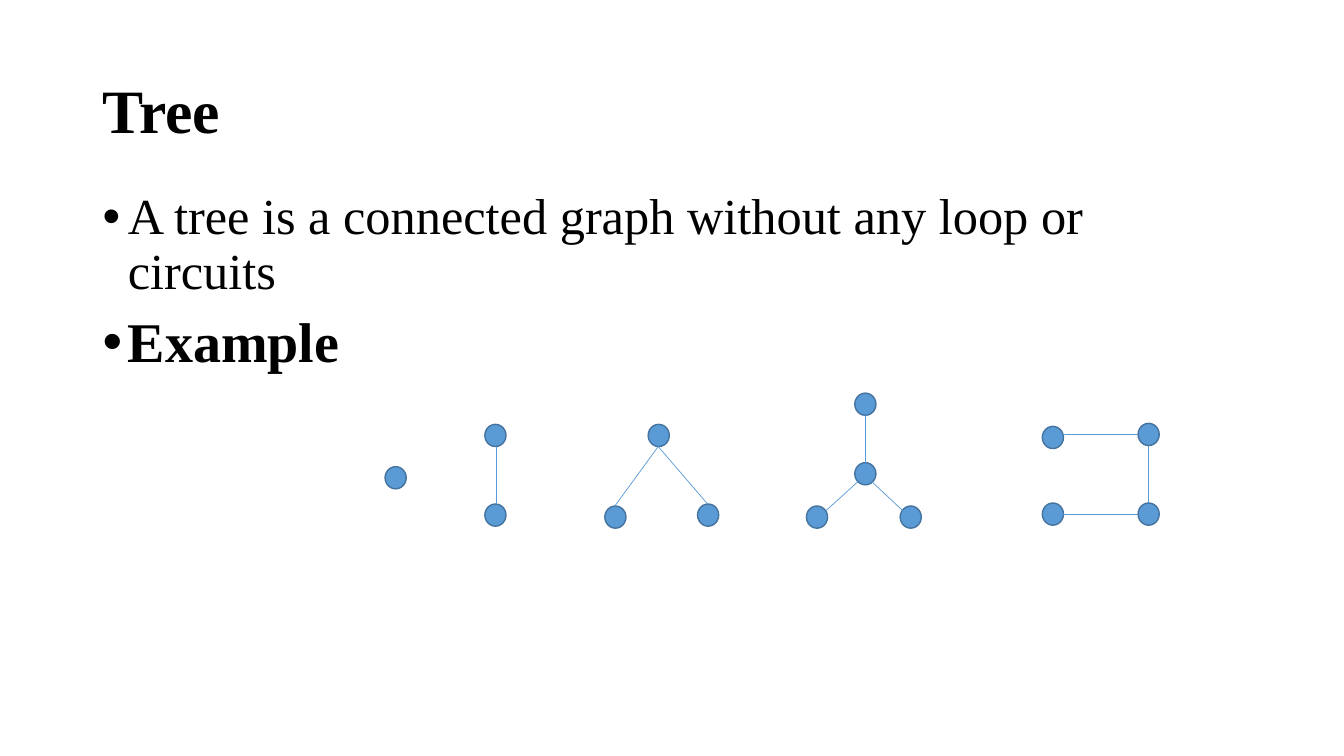
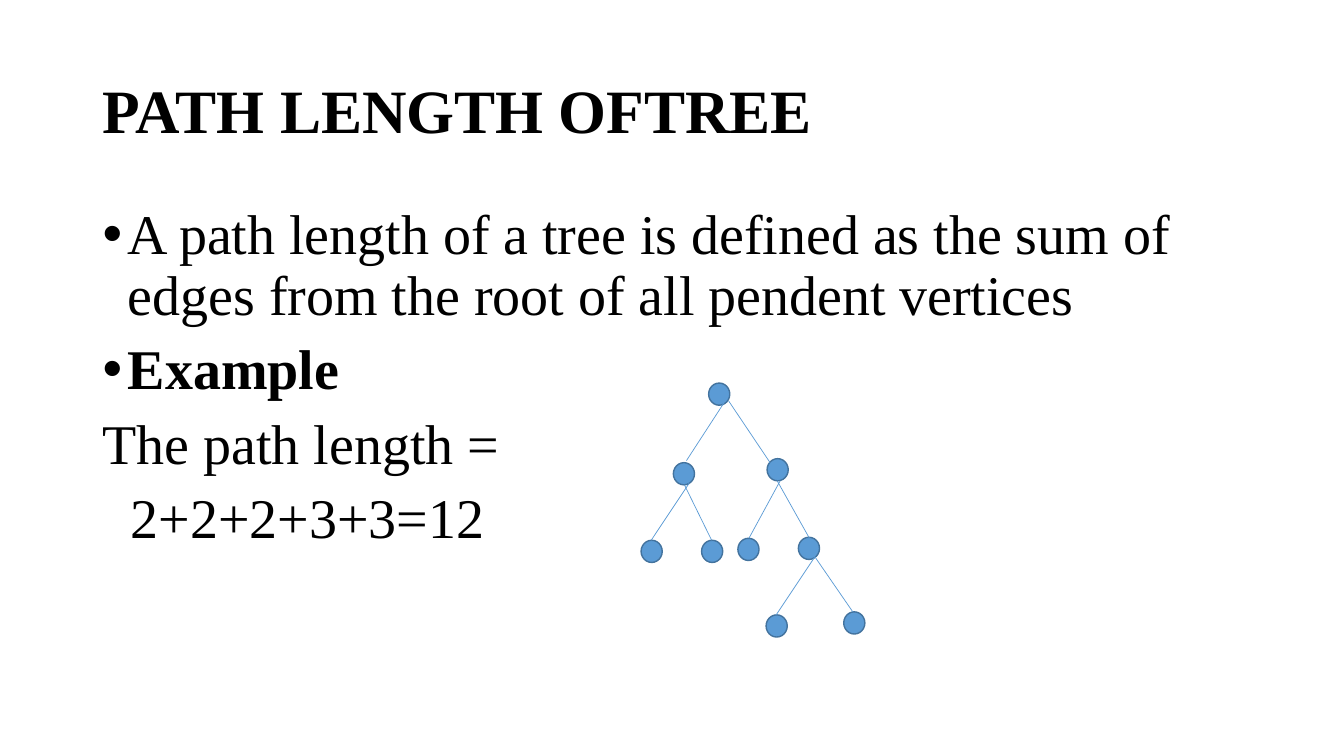
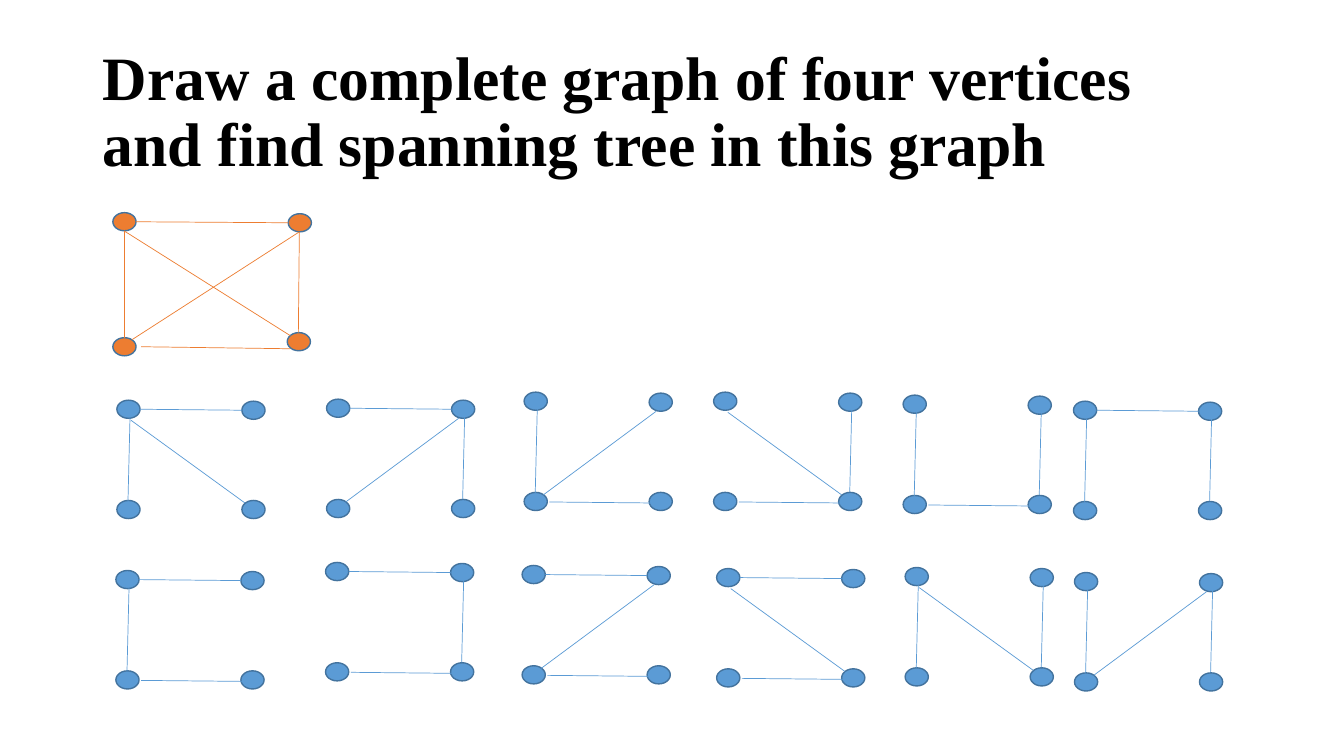
import pptx
import pptx.dml.color
import pptx.enum.shapes
import pptx.enum.text
import pptx.oxml.ns
import pptx.util
from lxml import etree

SHAPES = pptx.enum.shapes.MSO_SHAPE
BLUE, ORANGE, OUTLINE, BLACK = "5B9BD5", "ED7D31", "43739E", "000000"


def color(value):
    """Turn a hex string into a colour."""
    return pptx.dml.color.RGBColor.from_string(value)


def cells(count):
    """Turn grid cells, ten to the inch, into a length."""
    return pptx.util.Inches(count / 10)


class Lesson:
    """Hold the deck, its style and the current slide."""

    FONT = "Times New Roman"
    CIRCLE = (SHAPES.FLOWCHART_CONNECTOR, 2.1, 2.2)
    OVAL = (SHAPES.OVAL, 2.3, 1.8)

    def __init__(self):
        """Start an empty wide deck."""
        self.deck = pptx.Presentation()
        self.deck.slide_width = cells(133.33)
        self.deck.slide_height = cells(75)
        self.page = None

    def style(self, para, size, bold):
        """Set the shared paragraph style."""
        para.alignment = pptx.enum.text.PP_ALIGN.LEFT
        para.line_spacing = 0.9
        para.font.name = self.FONT
        para.font.size = pptx.util.Pt(size)
        para.font.bold = bold
        para.font.color.rgb = color(BLACK)

    def start(self, title):
        """Add a slide with its title."""
        self.page = self.deck.slides.add_slide(self.deck.slide_layouts[5])
        box = self.page.shapes.title
        box.left, box.top, box.width, box.height = map(cells, (9.2, 4, 115, 14.5))
        frame = box.text_frame
        frame.text = title
        frame.word_wrap = True
        frame.auto_size = pptx.enum.text.MSO_AUTO_SIZE.NONE
        frame.vertical_anchor = pptx.enum.text.MSO_ANCHOR.MIDDLE
        self.style(frame.paragraphs[0], 44, True)

    def body(self, top, lines):
        """Add text lines given as text, size, bold, indent and bullet."""
        box = self.page.shapes.add_textbox(*map(cells, (9.2, top, 115, 47.6)))
        frame = box.text_frame
        frame.word_wrap = True
        for index, (text, size, bold, indent, bullet) in enumerate(lines):
            para = frame.add_paragraph() if index else frame.paragraphs[0]
            para.text = text
            self.style(para, size, bold)
            para.space_before = pptx.util.Pt(10)
            self.indent(para, indent, bullet)

    def indent(self, para, indent, bullet):
        """Indent a paragraph, hanging a bullet if asked."""
        props = para._p.get_or_add_pPr()
        props.set("marL", str(cells(indent)))
        props.set("indent", str(-cells(indent) if bullet else 0))
        if bullet:
            defaults = props.find(pptx.oxml.ns.qn("a:defRPr"))
            for tag, name, value in (("a:buFont", "typeface", "Arial"), ("a:buChar", "char", "•")):
                mark = etree.Element(pptx.oxml.ns.qn(tag))
                mark.set(name, value)
                defaults.addprevious(mark)

    def node(self, left, top, kind, fill):
        """Add one vertex."""
        shape, width, height = kind
        dot = self.page.shapes.add_shape(shape, *map(cells, (left, top, width, height)))
        dot.shadow.inherit = False
        dot.fill.solid()
        dot.fill.fore_color.rgb = color(fill)
        dot.line.color.rgb = color(OUTLINE)
        dot.line.width = pptx.util.Pt(1)

    def edge(self, points, stroke):
        """Add one straight edge."""
        kind = pptx.enum.shapes.MSO_CONNECTOR.STRAIGHT
        line = self.page.shapes.add_connector(kind, *map(cells, points))
        line.line.color.rgb = color(stroke)
        line.line.width = pptx.util.Pt(0.5)
        etree.SubElement(line._element.spPr, pptx.oxml.ns.qn("a:effectLst"))

    def graph(self, nodes, edges, kind, fill=BLUE, left=0, top=0):
        """Add a graph whose points are measured from left and top."""
        for x, y in nodes:
            self.node(left + x, top + y, kind, fill)
        for x1, y1, x2, y2 in edges:
            self.edge((left + x1, top + y1, left + x2, top + y2), fill)


def tree_slide(lesson):
    """Define a tree and show five."""
    lesson.start("Tree")
    lesson.body(18.5, [
        ("A tree is a connected graph without any loop or circuits", 36, False, 2.5, True),
        ("Example", 40, True, 2.5, True),
    ])
    trees = [
        ([(38.2, 46.3)], []),
        ([(48.1, 42.1), (48.1, 50)], [(49.2, 44.3, 49.2, 50)]),
        ([(64.3, 42.1), (60, 50.2), (69.2, 50)],
         [(65.3, 44.3, 61, 50.2), (65.3, 44.3, 70.2, 50)]),
        ([(84.8, 45.9), (84.8, 39), (80, 50.2), (89.3, 50.2)],
         [(86.5, 47.8, 89.6, 50.7), (85.1, 47.8, 81.9, 50.7), (85.8, 41.2, 85.8, 45.9)]),
        ([(112.9, 42), (112.9, 49.9), (103.4, 42.3), (103.4, 49.9)],
         [(113.9, 44.2, 113.9, 49.9), (112.9, 51, 105.5, 51), (112.9, 43.1, 105.5, 43.1)]),
    ]
    for nodes, edges in trees:
        lesson.graph(nodes, edges, lesson.CIRCLE)


def length_slide(lesson):
    """Show the path length of a tree."""
    lesson.start("PATH LENGTH OFTREE")
    lesson.body(20, [
        ("A path length of a tree is defined as the sum of edges from the root of all pendent vertices",
         40, False, 2.5, True),
        ("Example", 40, True, 2.5, True),
        ("The path length =", 40, False, 0, False),
        ("2+2+2+3+3=12", 40, False, 2.8, False),
    ])
    nodes = [(70.3, 38), (66.8, 45.9), (76.1, 45.5), (63.6, 53.6), (69.6, 53.6),
             (73.2, 53.4), (79.2, 53.3), (76, 61), (83.7, 60.7)]
    edges = [(71.8, 40, 68.1, 45.7), (72.3, 39.8, 76.4, 45.9),
             (68.4, 47.9, 64.6, 53.6), (67.9, 48.1, 70.6, 53.6),
             (77.4, 47.7, 74.3, 53.4), (77.1, 47.7, 80.3, 53.4),
             (80.8, 55.3, 77, 61), (80.4, 54.6, 84.6, 60.7)]
    lesson.graph(nodes, edges, lesson.CIRCLE)


def spanning_slide(lesson):
    """Show a complete graph and its spanning trees."""
    lesson.start("Draw a complete graph of four vertices and find spanning tree in this graph")
    lesson.graph(
        [(0, 0), (17.4, 0.1), (0, 12.4), (17.3, 11.9)],
        [(2.3, 0.9, 17.4, 1), (1.1, 1.8, 1.1, 12.4), (2.8, 13.3, 17.6, 13.5),
         (18.5, 1.9, 18.4, 11.9), (18.5, 1.9, 1.9, 12.6), (1.1, 1.8, 17.6, 12.2)],
        lesson.OVAL, ORANGE, 11.2, 21.1)
    corners = [(0, 0), (12.4, 0.1), (0, 9.95), (12.4, 9.95)]
    sides = {
        "top": (2.3, 0.9, 12.4, 1), "bottom": (2.5, 10.9, 12.6, 11),
        "left": (1.3, 1.7, 1.1, 10), "right": (13.7, 1.6, 13.5, 9.9),
        "fall": (1.4, 2, 12.7, 10.2), "rise": (13.1, 1.9, 1.9, 10.2),
    }
    trees = [
        (11.6, 39.7, "top left fall"), (32.4, 39.6, "top right rise"),
        (52, 38.9, "left bottom rise"), (70.8, 38.9, "bottom right fall"),
        (89.6, 39.2, "left bottom right"), (106.5, 39.8, "top left right"),
        (11.5, 56.6, "top left bottom"), (32.3, 55.8, "top bottom right"),
        (51.8, 56.1, "top bottom rise"), (71.1, 56.4, "top bottom fall"),
        (89.8, 56.3, "left right fall"), (106.6, 56.8, "left right rise"),
    ]
    for left, top, names in trees:
        edges = [sides[name] for name in names.split()]
        lesson.graph(corners, edges, lesson.OVAL, BLUE, left, top)


def main():
    """Build and save the deck."""
    lesson = Lesson()
    for build in (tree_slide, length_slide, spanning_slide):
        build(lesson)
    lesson.deck.save("out.pptx")


if __name__ == "__main__":
    main()
